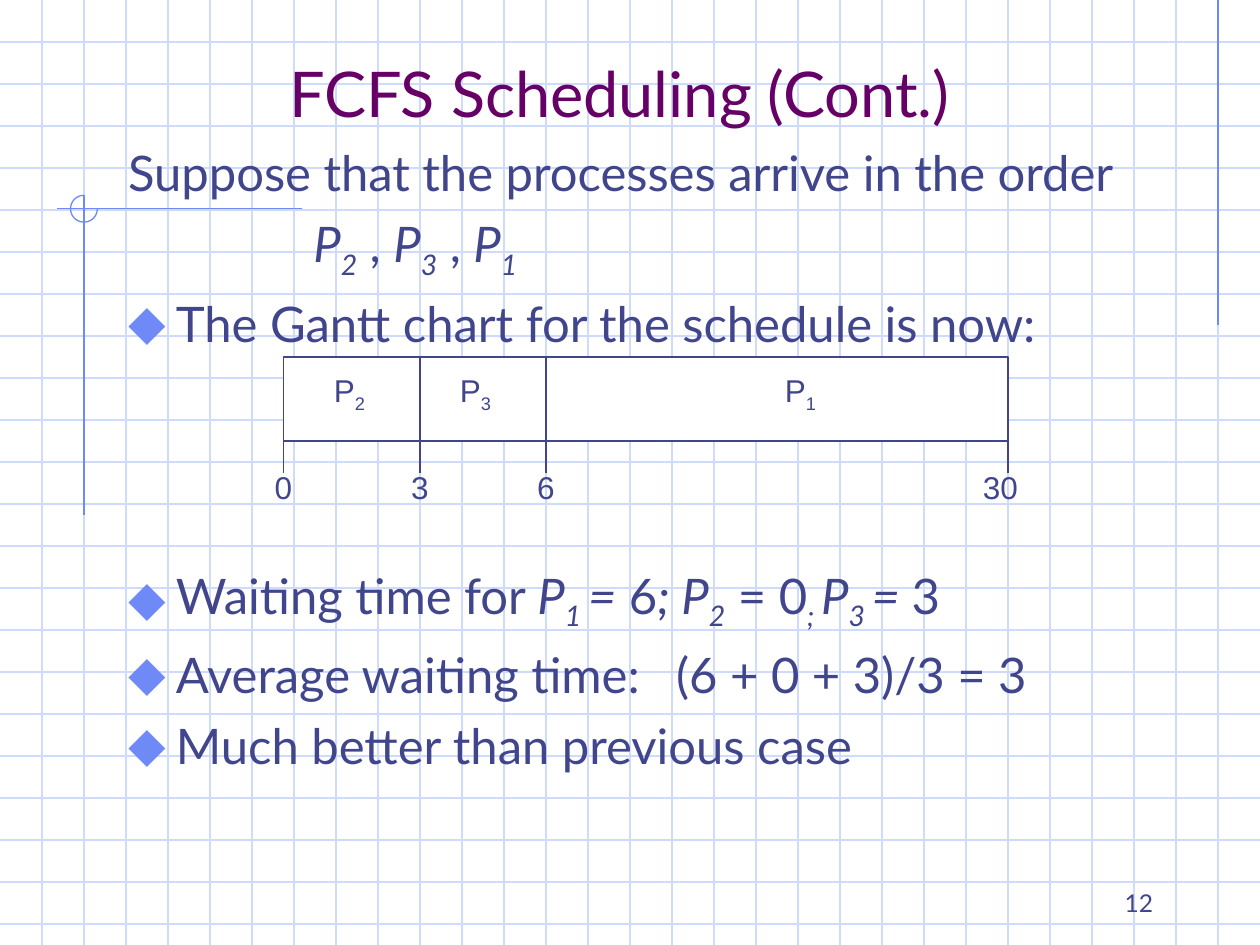
import pptx
import pptx.util
import pptx.dml.color
import pptx.enum.shapes
import pptx.enum.text
import pptx.oxml.ns
import lxml.etree

CELL = 1 / 3
INK, ACCENT, GRID, PLUM = "40458C", "6F89F7", "CFDBFD", "660066"
ALIGN = pptx.enum.text.PP_ALIGN
ANCHOR = pptx.enum.text.MSO_ANCHOR
SHAPES = pptx.enum.shapes.MSO_SHAPE


def cells(count):
    return pptx.util.Inches(count * CELL)


def rgb(value):
    return pptx.dml.color.RGBColor.from_string(value)


def add_xml(parent, tag, **attributes):
    return lxml.etree.SubElement(parent, pptx.oxml.ns.qn(tag), attributes)


def write(para, text, size=28, font="Lato", color=INK, style=""):
    span = para.add_run()
    span.text = text
    span.font.size = pptx.util.Pt(size)
    span.font.name = font
    span.font.color.rgb = rgb(color)
    span.font.italic = "i" in style
    if "s" in style:
        span.font._element.set("baseline", "-25000")


class GridSlide:
    def __init__(self, deck):
        self.page = deck.slides.add_slide(deck.slide_layouts[1])
        self.shapes = self.page.shapes

    def line(self, x1, y1, x2, y2, color):
        rule = self.shapes.add_connector(
            pptx.enum.shapes.MSO_CONNECTOR.STRAIGHT,
            cells(x1), cells(y1), cells(x2), cells(y2))
        rule.line.color.rgb = rgb(color)
        rule.line.width = pptx.util.Pt(0.75)
        add_xml(rule._element.spPr, "a:effectLst")

    def shape(self, kind, x, y, width, height, line, fill=None):
        shape = self.shapes.add_shape(
            kind, cells(x), cells(y), cells(width), cells(height))
        shape.shadow.inherit = False
        shape.line.color.rgb = rgb(line)
        shape.line.width = pptx.util.Pt(0.75)
        if fill:
            shape.fill.solid()
            shape.fill.fore_color.rgb = rgb(fill)
        else:
            shape.fill.background()
        return shape

    def placeholder(self, index, x, y, width, height, anchor):
        box = self.page.placeholders[index]
        box.left, box.top = cells(x), cells(y)
        box.width, box.height = cells(width), cells(height)
        box.element.getparent().append(box.element)
        frame = box.text_frame
        frame.auto_size = pptx.enum.text.MSO_AUTO_SIZE.NONE
        frame.vertical_anchor = anchor
        return frame

    def title(self, text):
        frame = self.placeholder(0, 2, 1, 25.5, 2.25, ANCHOR.BOTTOM)
        frame.paragraphs[0].alignment = ALIGN.CENTER
        write(frame.paragraphs[0], text, size=36, color=PLUM)

    def body(self, items):
        frame = self.placeholder(1, 2.75, 3.25, 25.5, 16.5, ANCHOR.TOP)
        for number, (spans, options) in enumerate(items):
            para = frame.add_paragraph() if number else frame.paragraphs[0]
            self.list_format(para, **options)
            para.space_before = pptx.util.Pt(options.get("before", 7) if number else 0)
            for text, style in spans:
                write(para, text, style=style)

    def list_format(self, para, bullet=True, margin=0.38, hang=0.38, tab=None, before=7):
        props = para._p.get_or_add_pPr()
        props.set("marL", str(pptx.util.Inches(margin)))
        props.set("indent", str(-pptx.util.Inches(hang)))
        if bullet:
            add_xml(add_xml(props, "a:buClr"), "a:srgbClr", val=ACCENT)
            add_xml(props, "a:buSzPct", val="110000")
            add_xml(props, "a:buChar", char="⬥")
        else:
            add_xml(props, "a:buNone")
        if tab:
            stops = add_xml(props, "a:tabLst")
            add_xml(stops, "a:tab", pos=str(pptx.util.Inches(tab)), algn="l")

    def label(self, spans, x, y, width, height, align=ALIGN.CENTER,
              anchor=ANCHOR.MIDDLE, **text_format):
        box = self.shapes.add_textbox(cells(x), cells(y), cells(width), cells(height))
        frame = box.text_frame
        frame.word_wrap = True
        frame.vertical_anchor = anchor
        para = frame.paragraphs[0]
        para.alignment = align
        for text, style in spans:
            write(para, text, style=style, **text_format)

    def backdrop(self):
        for row in range(1, 23):
            self.line(0, row, 30, row, GRID)
        for column in range(1, 30):
            self.line(column, 0, column, 22.5, GRID)
        self.line(29, 0, 29, 7.75, ACCENT)
        self.line(7.2, 4.97, 1.35, 4.97, ACCENT)
        self.line(2, 4.65, 2, 12.27, ACCENT)
        ring = self.shape(SHAPES.ARC, 1.68, 4.65, 0.64, 0.64, ACCENT)
        ring.adjustments[0] = 0
        ring.adjustments[1] = 270 * 0.6

    def gantt(self, edges, times, processes):
        top, bottom = 8.5, 10.5
        self.shape(SHAPES.RECTANGLE, edges[0], top, edges[-1] - edges[0],
                   bottom - top, INK, "FFFFFF")
        for edge in edges[1:-1]:
            self.line(edge, top, edge, bottom, INK)
        for edge, time in zip(edges, times):
            self.line(edge, bottom, edge, bottom + 0.75, INK)
            center = edge - 0.18 if edge == edges[-1] else edge
            self.label([(time, "")], center - 1, 11, 2, 1.2, size=18, font="Arial")
        for number, center in processes:
            self.label([("P", ""), (number, "s")], center - 1, 8.7, 2, 1.3,
                       size=18, font="Arial")


def main():
    deck = pptx.Presentation()
    deck.slide_width, deck.slide_height = cells(30), cells(22.5)
    slide = GridSlide(deck)
    slide.backdrop()
    slide.title("FCFS Scheduling (Cont.)")
    slide.body([
        ([("Suppose that the processes arrive in the order", "")], dict(bullet=False)),
        ([("P", "i"), ("2", "is"), (" , ", ""), ("P", "i"), ("3", "is"),
          (" , ", ""), ("P", "i"), ("1", "is")],
         dict(bullet=False, margin=1.47, hang=0)),
        ([("The Gantt chart for the schedule is now:", "")], {}),
        ([("Waiting time for ", ""), ("P", "i"), ("1 ", "is"), ("=", "i"), (" 6", ""),
          ("; P", "i"), ("2", "is"), (" = 0", ""), ("; ", "is"), ("P", "i"),
          ("3 ", "is"), ("= ", "i"), ("3", "")], dict(before=122)),
        ([("Average waiting time:\t(6 + 0 + 3)/3 = 3", "")], dict(tab=4.35)),
        ([("Much better than previous case", "")], {}),
    ])
    slide.gantt([6.75, 10, 13, 24], ["0", "3", "6", "30"],
                [("2", 8.32), ("3", 11.32), ("1", 19.06)])
    slide.label([("12", "")], 21.5, 20.5, 6.25, 1.5, align=ALIGN.RIGHT,
                anchor=ANCHOR.BOTTOM, size=14)
    deck.save("out.pptx")


if __name__ == "__main__":
    main()
